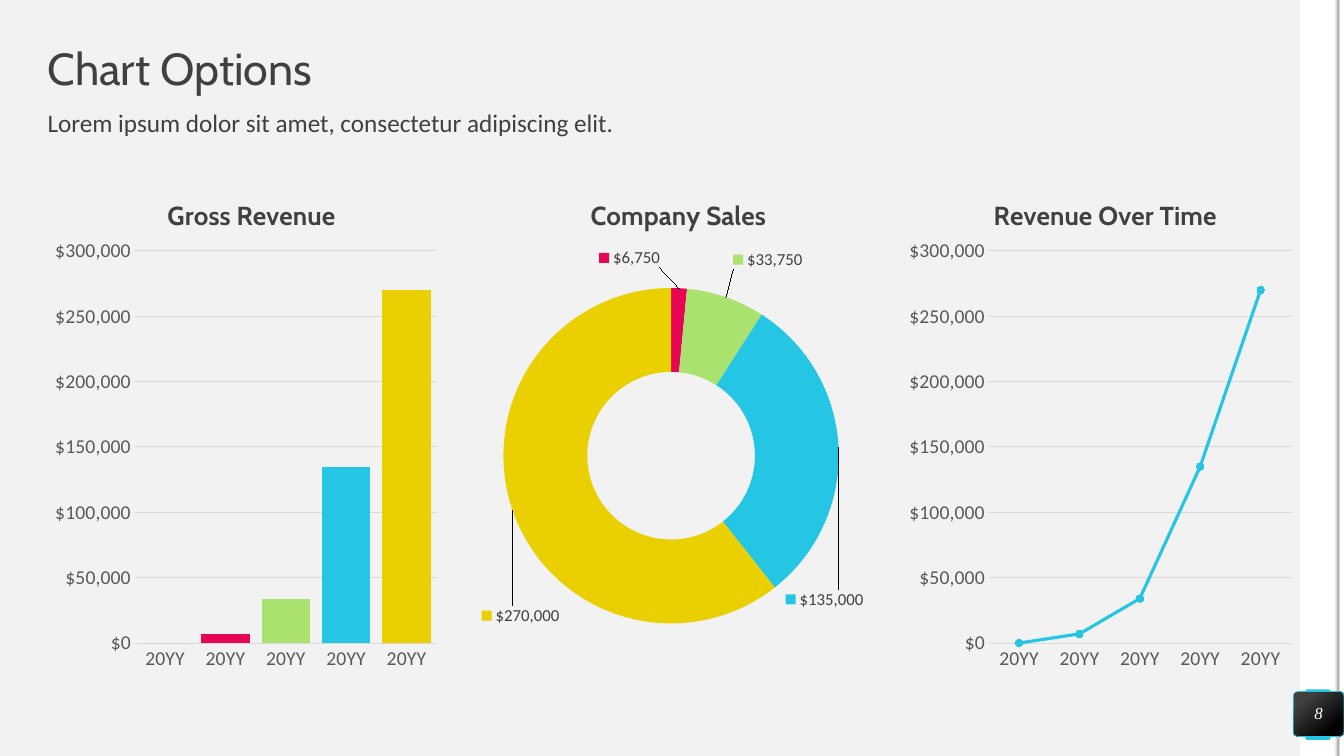
import copy
from dataclasses import dataclass

import pptx
import pptx.chart.data
import pptx.dml.color
import pptx.enum.chart
import pptx.enum.shapes
import pptx.enum.text
import pptx.oxml
import pptx.oxml.ns
import pptx.util

Pt = pptx.util.Pt
ChartType = pptx.enum.chart.XL_CHART_TYPE
ShapeType = pptx.enum.shapes.MSO_SHAPE
Anchor = pptx.enum.text.MSO_ANCHOR
Align = pptx.enum.text.PP_ALIGN
qn = pptx.oxml.ns.qn


@dataclass(frozen=True)
class Theme:
    background: str = "F2F2F2"
    white: str = "FFFFFF"
    black: str = "000000"
    text: str = "404040"
    axis_text: str = "595959"
    rule: str = "D9D9D9"
    shade: str = "A6A6A6"
    cyan: str = "25C6E3"
    green: str = "A9E26F"
    red: str = "E80554"
    yellow: str = "EAD000"
    heading_font: str = "Cabin"
    body_font: str = "Calibri"
    number_font: str = "Times New Roman"
    title_size: float = 32
    body_size: float = 18
    chart_title_size: float = 18.6
    chart_size: float = 10
    axis_size: float = 14
    label_size: float = 12


def color(value):
    return pptx.dml.color.RGBColor.from_string(value)


def apply(target, values):
    for name, value in values.items():
        setattr(target, name, value)


def paint(fill, value):
    fill.solid()
    fill.fore_color.rgb = color(value)


def chart_xml(tag, content):
    namespaces = pptx.oxml.ns.nsdecls("c")
    return pptx.oxml.parse_xml(f"<c:{tag} {namespaces}>{content}</c:{tag}>")


def place(parent, index, **values):
    for layout in parent.findall(qn("c:layout")):
        parent.remove(layout)
    content = "".join(f'<c:{name} val="{value}"/>' for name, value in values.items())
    layout = chart_xml("layout", f"<c:manualLayout>{content}</c:manualLayout>")
    parent.insert(index, layout)


class SlideBuilder:
    def __init__(self, slide, theme):
        self.slide = slide
        self.theme = theme
        paint(slide.background.fill, theme.background)

    def style_font(self, font, name, size, value, **extra):
        apply(font, {"name": name, "size": Pt(size), **extra})
        font.color.rgb = color(value)

    def fill_text(self, frame, text, font, size, value, align=Align.LEFT, anchor=Anchor.TOP, **extra):
        apply(frame, {"word_wrap": True, "vertical_anchor": anchor, "margin_left": 0,
                      "margin_right": 0, "margin_top": 0, "margin_bottom": 0})
        paragraph = frame.paragraphs[0]
        apply(paragraph, {"alignment": align, "line_spacing": 0.9})
        run = paragraph.add_run()
        run.text = text
        self.style_font(run.font, font, size, value, **extra)

    def text(self, box, *args, **options):
        shape = self.slide.shapes.add_textbox(*map(Pt, box))
        self.fill_text(shape.text_frame, *args, **options)

    def shape(self, kind, box, fill=None, gradient=None, angle=0, line=None, corner=None):
        shape = self.slide.shapes.add_shape(kind, *map(Pt, box))
        shape.shadow.inherit = False
        if gradient:
            shape.fill.gradient()
            shape.fill.gradient_angle = angle
            for stop, (position, value) in zip(shape.fill.gradient_stops, gradient):
                stop.position = position
                stop.color.rgb = color(value)
        else:
            paint(shape.fill, fill)
        if line:
            paint(shape.line.fill, line)
            shape.line.width = Pt(0.5)
        else:
            shape.line.fill.background()
        if corner:
            shape.adjustments[0] = corner
        return shape

    def chart(self, kind, box, title, title_x, categories, values, plot_area):
        data = pptx.chart.data.CategoryChartData(number_format="[$$-409]#,##0")
        data.categories = categories
        data.add_series("Series 1", values)
        chart = self.slide.shapes.add_chart(kind, *map(Pt, box), data).chart
        theme = self.theme
        self.style_font(chart.font, theme.body_font, theme.chart_size, theme.black)
        apply(chart, {"has_legend": False, "has_title": True})
        frame = chart.chart_title.text_frame
        frame.text = title
        self.style_font(frame.paragraphs[0].runs[0].font, theme.heading_font,
                        theme.chart_title_size, theme.text, bold=True)
        title_element = chart._chartSpace.chart.find(qn("c:title"))
        place(title_element, 1, xMode="edge", yMode="edge", x=title_x, y=0.05)
        x, y, width, height = plot_area
        place(chart._chartSpace.chart.plotArea, 0, layoutTarget="inner", xMode="edge",
              yMode="edge", x=x, y=y, w=width, h=height)
        return chart

    def axis_chart(self, *args):
        chart = self.chart(*args, plot_area=(0.22, 0.164, 0.76, 0.76))
        none = pptx.enum.chart.XL_TICK_MARK.NONE
        for axis in (chart.category_axis, chart.value_axis):
            apply(axis, {"major_tick_mark": none, "minor_tick_mark": none})
            self.style_font(axis.tick_labels.font, self.theme.body_font,
                            self.theme.axis_size, self.theme.axis_text)
        axis = chart.value_axis
        apply(axis, {"minimum_scale": 0, "maximum_scale": 300000,
                     "major_unit": 50000, "has_major_gridlines": True})
        apply(axis.tick_labels, {"number_format": "[$$-409]#,##0",
                                 "number_format_is_linked": False})
        axis.format.line.fill.background()
        for line in (chart.category_axis.format.line, axis.major_gridlines.format.line):
            paint(line.fill, self.theme.rule)
            line.width = Pt(0.75)
        return chart

    def paint_points(self, chart, colors):
        series = chart.plots[0].series[0]
        for index, value in enumerate(colors):
            paint(series.points[index].format.fill, value)

    def column_chart(self, colors, *args):
        chart = self.axis_chart(ChartType.COLUMN_CLUSTERED, *args)
        apply(chart.plots[0], {"gap_width": 25, "vary_by_categories": False})
        paint(chart.plots[0].series[0].format.fill, self.theme.green)
        self.paint_points(chart, colors)

    def line_chart(self, *args):
        chart = self.axis_chart(ChartType.LINE_MARKERS_STACKED, *args)
        chart.plots[0].vary_by_categories = False
        series = chart.plots[0].series[0]
        series.smooth = False
        paint(series.format.line.fill, self.theme.cyan)
        series.format.line.width = Pt(2.25)
        circle = pptx.enum.chart.XL_MARKER_STYLE.CIRCLE
        apply(series.marker, {"style": circle, "size": 5})
        paint(series.marker.format.fill, self.theme.cyan)
        paint(series.marker.format.line.fill, self.theme.cyan)

    def doughnut_chart(self, colors, label_offsets, *args):
        chart = self.chart(ChartType.DOUGHNUT, *args, plot_area=(0.07, 0.236, 0.85, 0.65))
        plot = chart.plots[0]
        plot.vary_by_categories = True
        plot._element.find(qn("c:holeSize")).set("val", "84")
        self.paint_points(chart, colors)
        labels = plot.series[0].data_labels
        apply(labels, {"show_value": True, "show_percentage": False,
                       "number_format": "[$$-409]#,##0", "number_format_is_linked": False})
        self.style_font(labels.font, self.theme.body_font, self.theme.label_size, self.theme.text)
        settings = [copy.deepcopy(child) for child in labels._element
                    if child.tag in (qn("c:numFmt"), qn("c:txPr"))]
        flags = {"LegendKey": 1, "Val": 1, "CatName": 0, "SerName": 0,
                 "Percent": 0, "BubbleSize": 0}
        flag_xml = "".join(f'<c:show{name} val="{value}"/>' for name, value in flags.items())
        hidden = chart_xml("dLbl", '<c:idx val="0"/><c:delete val="1"/>')
        labels._element.insert(0, hidden)
        for index, (x, y) in enumerate(label_offsets, 1):
            label = chart_xml("dLbl", f'<c:idx val="{index}"/>{flag_xml}')
            place(label, 1, x=x, y=y)
            for position, setting in enumerate(settings, 2):
                label.insert(position, copy.deepcopy(setting))
            labels._element.insert(index, label)


def main():
    presentation = pptx.Presentation()
    apply(presentation, {"slide_width": Pt(960), "slide_height": Pt(540)})
    theme = Theme()
    builder = SlideBuilder(presentation.slides.add_slide(presentation.slide_layouts[6]), theme)

    builder.shape(ShapeType.RECTANGLE, (928.8, 0, 28, 540), theme.white)
    builder.shape(ShapeType.ROUNDED_RECTANGLE, (932.4, 492.5, 18, 36), theme.cyan, corner=0.07)
    builder.shape(ShapeType.RECTANGLE, (956.5, 0, 3.5, 540), theme.white)
    builder.shape(ShapeType.RECTANGLE, (953, 0, 3.5, 540),
                  gradient=((0, theme.white), (1, theme.shade)))

    builder.text((34, 34, 892.8, 34), "Chart Options", theme.heading_font,
                 theme.title_size, theme.text, anchor=Anchor.MIDDLE)
    builder.text((34, 79.2, 892.8, 28), "Lorem ipsum dolor sit amet, consectetur adipiscing elit.",
                 theme.body_font, theme.body_size, theme.text)
    badge = builder.shape(ShapeType.ROUNDED_RECTANGLE, (923.8, 494, 36.2, 32), line=theme.cyan,
                          gradient=((0.2, theme.text), (0.82, theme.black)), angle=310, corner=0.1)
    builder.fill_text(badge.text_frame, "8", theme.number_font, theme.label_size, theme.white,
                      Align.CENTER, Anchor.MIDDLE, italic=True)

    boxes = [(34 + 305 * column, 118.8, 283.7, 368.6) for column in range(3)]
    years = ["20YY"] * 5
    revenue = (0, 7000, 34000, 135000, 270000)
    sales = (0, 6750, 33750, 135000, 270000)
    colors = (theme.green, theme.red, theme.green, theme.cyan, theme.yellow)
    offsets = ((-0.12, -0.14), (0.14, -0.15), (0.07, 0.29), (-0.08, 0.23))
    builder.column_chart(colors, boxes[0], "Gross Revenue", 0.29, years, revenue)
    builder.doughnut_chart(colors, offsets, boxes[1], "Company Sales", 0.28, list("12345"), sales)
    builder.line_chart(boxes[2], "Revenue Over Time", 0.22, years, revenue)
    presentation.save("out.pptx")


if __name__ == "__main__":
    main()
